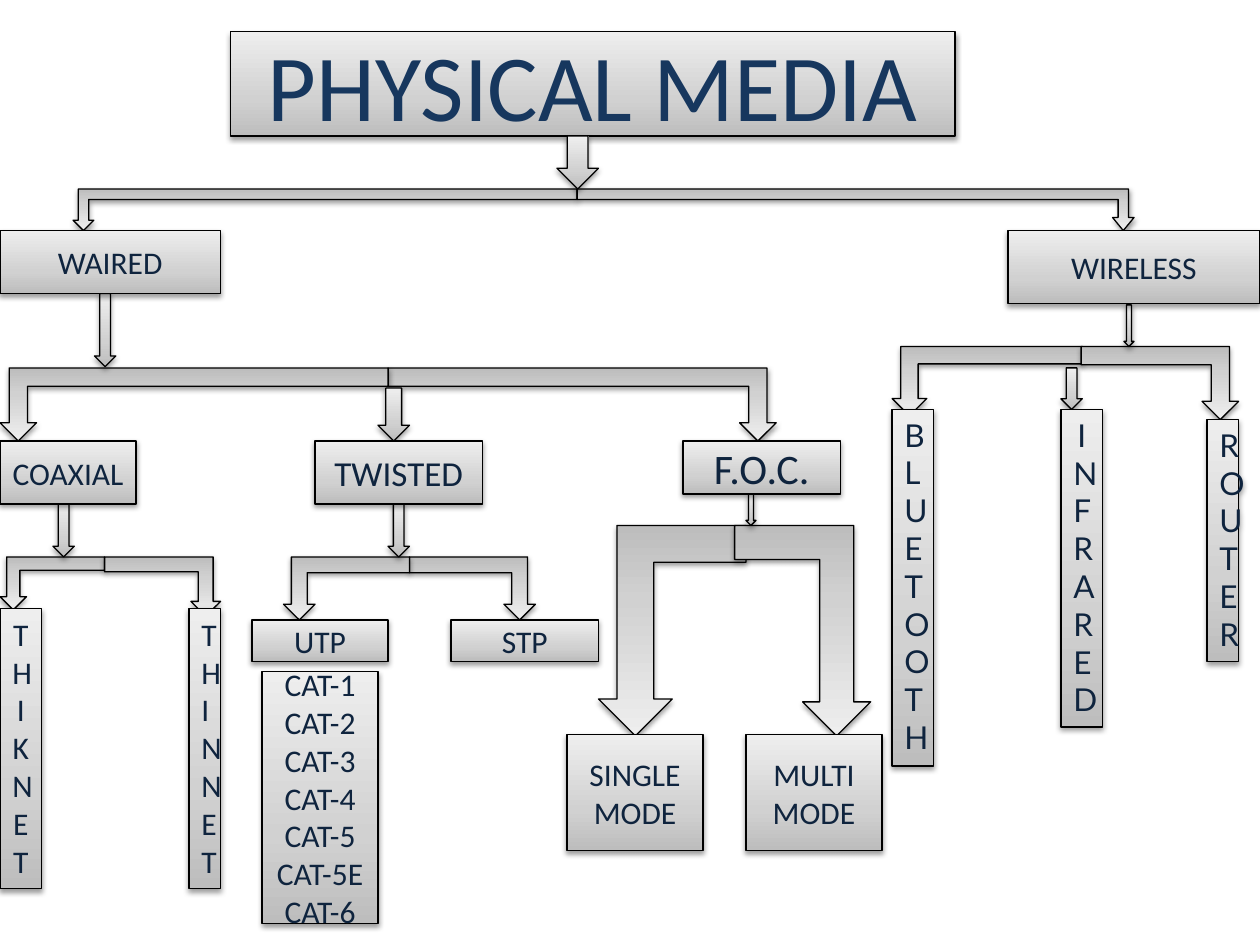
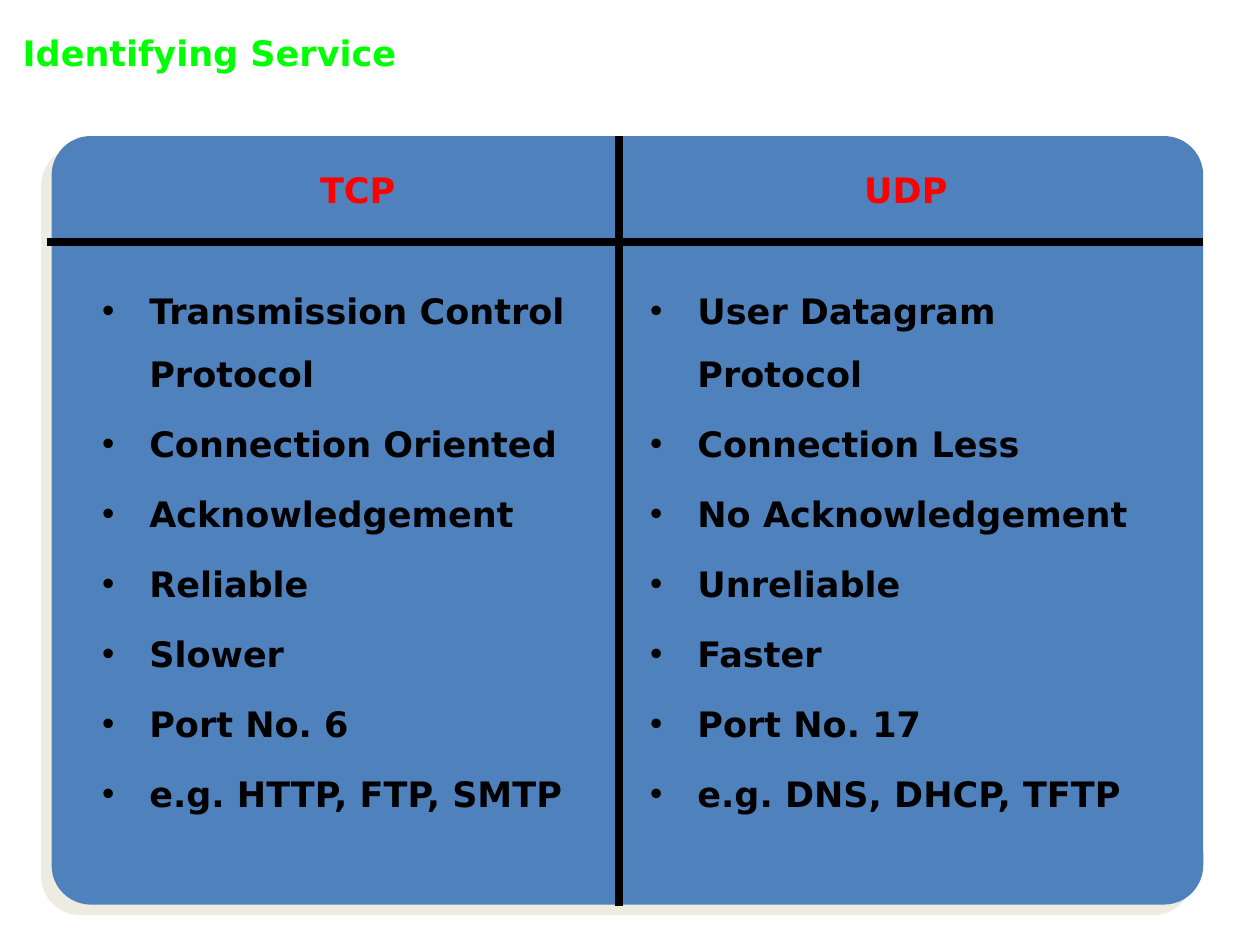
"""Build two slides: a tree of physical media and a TCP/UDP comparison."""
from dataclasses import dataclass
from typing import NamedTuple

from lxml.etree import SubElement
from pptx import Presentation
from pptx.dml.color import RGBColor
from pptx.enum.shapes import MSO_CONNECTOR, MSO_SHAPE
from pptx.enum.text import MSO_ANCHOR, MSO_AUTO_SIZE, PP_ALIGN
from pptx.oxml.ns import qn
from pptx.util import Inches, Pt

COLORS = {
    "navy": "0F243E",
    "title_blue": "17375E",
    "black": "000000",
    "green": "00FF00",
    "red": "FF0000",
    "panel": "4F81BD",
    "cream": "EEECE1",
}
METAL_STOPS = ((0, "BDBDBD"), (35, "D1D1D1"), (100, "EEEEEE"))
TREE_FONT, TALL_FONT, SERVICE_FONT = "Calibri", "Lato", "DejaVu Sans"


class Area(NamedTuple):
    left: float
    top: float
    width: float
    height: float


class TextStyle(NamedTuple):
    font: str
    size: float
    color: str
    bold: bool = False
    align: PP_ALIGN = PP_ALIGN.CENTER
    anchor: MSO_ANCHOR = MSO_ANCHOR.MIDDLE
    spacing: float = 1.0


class Shadow(NamedTuple):
    color: str
    opacity: int
    blur: float
    distance: float
    angle: int


@dataclass(frozen=True)
class Medium:
    text: str
    area: Area
    style: TextStyle
    grows: bool = False


@dataclass(frozen=True)
class Bend:
    area: Area
    to_right: bool = False
    adjustments: tuple[float, ...] = (0.25, 0.25, 0.25)


@dataclass(frozen=True)
class Service:
    name: str
    left: float
    list_width: float
    facts: tuple[str, ...]


TREE_TITLE = TextStyle(TREE_FONT, 54, "title_blue")
NODE = TextStyle(TREE_FONT, 18, "navy")
TALL_NODE = NODE._replace(anchor=MSO_ANCHOR.TOP)
TALL_LATO = TALL_NODE._replace(font=TALL_FONT)
SERVICE_TITLE = TextStyle(SERVICE_FONT, 20, "green", True, PP_ALIGN.LEFT)
SERVICE_NAME = TextStyle(SERVICE_FONT, 20, "red", True, anchor=MSO_ANCHOR.TOP, spacing=1.5)
FACT = SERVICE_NAME._replace(color="black", align=PP_ALIGN.LEFT)

METAL_SHADOW = Shadow("black", 38, 3.1, 1.6, 90)
PANEL_SHADOW = Shadow("cream", 100, 0, 8.5, 135)

MEDIA = (
    Medium("WAIRED", Area(0, 1.83, 1.75, 0.5), NODE),
    Medium("WIRELESS", Area(8, 1.83, 2, 0.58), NODE),
    Medium("COAXIAL", Area(0, 3.5, 1.08, 0.5), NODE),
    Medium("TWISTED", Area(2.5, 3.5, 1.33, 0.5), NODE._replace(size=20)),
    Medium("F.O.C.", Area(5.42, 3.5, 1.25, 0.42), NODE._replace(size=24)),
    Medium("UTP", Area(2, 4.92, 1.08, 0.33), NODE),
    Medium("STP", Area(3.58, 4.92, 1.17, 0.33), NODE),
    Medium("CAT-1\nCAT-2\nCAT-3\nCAT-4\nCAT-5\nCAT-5E\nCAT-6", Area(2.08, 5.33, 0.92, 2), NODE),
    Medium("SINGLE\nMODE", Area(4.5, 5.83, 1.08, 0.92), NODE),
    Medium("MULTI\nMODE", Area(5.92, 5.83, 1.08, 0.92), NODE),
    Medium("THIKNET", Area(0, 4.83, 0.33, 2.22), TALL_NODE, True),
    Medium("THINNET", Area(1.5, 4.83, 0.25, 2.22), TALL_NODE, True),
    Medium("BLUETOOTH", Area(7.08, 3.25, 0.33, 2.83), TALL_LATO._replace(align=PP_ALIGN.LEFT), True),
    Medium("INFRARED", Area(8.42, 3.25, 0.33, 2.52), TALL_LATO, True),
    Medium("ROUTER", Area(9.58, 3.33, 0.25, 1.92), TALL_LATO, True),
)

BENDS = (
    Bend(Area(0.58, 1.5, 4, 0.33)),
    Bend(Area(4.58, 1.5, 4.42, 0.33), True, (0.25, 0.258, 0.316)),
    Bend(Area(7.08, 2.75, 1.51, 0.55)),
    Bend(Area(8.58, 2.75, 1.25, 0.58), True),
    Bend(Area(3.08, 2.92, 3.08, 0.58), True),
    Bend(Area(0, 2.92, 3.08, 0.58)),
    Bend(Area(0, 4.42, 0.83, 0.42)),
    Bend(Area(0.83, 4.42, 0.92, 0.47), True),
    Bend(Area(3.25, 4.42, 1, 0.5), True),
    Bend(Area(2.25, 4.42, 1, 0.5)),
    Bend(Area(4.75, 4.17, 1.17, 1.67)),
    Bend(Area(5.83, 4.17, 1.08, 1.67), True),
)

DOWN_ARROWS = (
    Area(4.42, 1.08, 0.33, 0.42),
    Area(8.92, 2.42, 0.08, 0.33),
    Area(8.42, 2.92, 0.17, 0.33),
    Area(0.75, 2.33, 0.17, 0.58),
    Area(3, 3.08, 0.25, 0.42),
    Area(0.42, 4, 0.17, 0.42),
    Area(3.08, 4, 0.17, 0.42),
    Area(5.92, 3.92, 0.08, 0.25),
)

SERVICES = (
    Service("TCP", 0.71, 4.3, (
        "Transmission Control Protocol", "Connection Oriented", "Acknowledgement",
        "Reliable", "Slower", "Port No. 6", "e.g. HTTP, FTP, SMTP")),
    Service("UDP", 5.06, 4.34, (
        "User Datagram Protocol", "Connection Less", "No Acknowledgement",
        "Unreliable", "Faster", "Port No. 17", "e.g. DNS, DHCP, TFTP")),
)
RULES = ((4.91, 1.08, 4.91, 7.19), (0.37, 1.92, 9.55, 1.92))


def rgb(name: str) -> RGBColor:
    """Return a palette colour."""
    return RGBColor.from_string(COLORS[name])


def place(shape, area: Area) -> None:
    """Move and size a shape."""
    shape.left, shape.top, shape.width, shape.height = map(Inches, area)


def write(shape, text: str, style: TextStyle, grows: bool = False) -> None:
    """Fill a shape with styled paragraphs, one for each line."""
    frame = shape.text_frame
    frame.text = text
    frame.word_wrap = True
    frame.auto_size = MSO_AUTO_SIZE.SHAPE_TO_FIT_TEXT if grows else MSO_AUTO_SIZE.NONE
    frame.vertical_anchor = style.anchor
    for paragraph in frame.paragraphs:
        paragraph.alignment = style.align
        paragraph.line_spacing = style.spacing
        paragraph.font.name = style.font
        paragraph.font.size = Pt(style.size)
        paragraph.font.bold = style.bold
        paragraph.font.color.rgb = rgb(style.color)


def cast_shadow(shape, shadow: Shadow) -> None:
    """Give a shape an outer shadow."""
    shape.shadow.inherit = False
    effects = shape.element.spPr.find(qn("a:effectLst"))
    outer = SubElement(effects, qn("a:outerShdw"), blurRad=str(Pt(shadow.blur)),
                       dist=str(Pt(shadow.distance)), dir=str(shadow.angle * 60000),
                       rotWithShape="0")
    color = SubElement(outer, qn("a:srgbClr"), val=COLORS[shadow.color])
    SubElement(color, qn("a:alpha"), val=str(shadow.opacity * 1000))


def coat_metal(shape) -> None:
    """Give a shape the grey gradient, thin outline and soft shadow."""
    shape.fill.gradient()
    shape.fill.gradient_angle = 90
    stops = shape.element.spPr.find(".//" + qn("a:gsLst"))
    stops.clear()
    for position, color in METAL_STOPS:
        stop = SubElement(stops, qn("a:gs"), pos=str(position * 1000))
        SubElement(stop, qn("a:srgbClr"), val=color)
    shape.line.color.rgb = rgb("black")
    shape.line.width = Pt(0.75)
    cast_shadow(shape, METAL_SHADOW)


def add_metal(slide, kind: MSO_SHAPE, area: Area):
    """Add a metallic preset shape."""
    shape = slide.shapes.add_shape(kind, *map(Inches, area))
    coat_metal(shape)
    return shape


def add_bend(slide, bend: Bend) -> None:
    """Add a bent arrow that points down at its left or right end."""
    arrow = add_metal(slide, MSO_SHAPE.BENT_UP_ARROW, bend.area)
    arrow.rotation = 180
    for index, value in enumerate(bend.adjustments):
        arrow.adjustments[index] = value
    if bend.to_right:
        arrow.element.spPr.find(qn("a:xfrm")).set("flipH", "1")


def add_rule(slide, ends: tuple[float, ...]) -> None:
    """Add a thick black line."""
    rule = slide.shapes.add_connector(MSO_CONNECTOR.STRAIGHT, *map(Inches, ends))
    rule.line.color.rgb = rgb("black")
    rule.line.width = Pt(4.5)
    SubElement(rule.element.spPr, qn("a:effectLst"))


def add_titled_slide(deck, layout: int, text: str, area: Area, style: TextStyle):
    """Add a slide and set its title."""
    slide = deck.slides.add_slide(deck.slide_layouts[layout])
    place(slide.shapes.title, area)
    write(slide.shapes.title, text, style)
    return slide


def build_media_slide(deck) -> None:
    """Draw the tree of physical media."""
    slide = add_titled_slide(deck, 5, "PHYSICAL MEDIA", Area(1.83, 0.25, 5.75, 0.83), TREE_TITLE)
    coat_metal(slide.shapes.title)
    for bend in BENDS:
        add_bend(slide, bend)
    for area in DOWN_ARROWS:
        add_metal(slide, MSO_SHAPE.DOWN_ARROW, area)
    for medium in MEDIA:
        box = add_metal(slide, MSO_SHAPE.RECTANGLE, medium.area)
        write(box, medium.text, medium.style, medium.grows)


def build_service_slide(deck) -> None:
    """Draw the comparison of TCP and UDP."""
    slide = add_titled_slide(deck, 4, "Identifying Service", Area(0.08, 0.17, 5.04, 0.5), SERVICE_TITLE)
    panel = slide.shapes.add_shape(MSO_SHAPE.ROUNDED_RECTANGLE, *map(Inches, Area(0.41, 1.08, 9.14, 6.1)))
    panel.adjustments[0] = 0.051
    panel.fill.solid()
    panel.fill.fore_color.rgb = rgb("panel")
    panel.line.fill.background()
    cast_shadow(panel, PANEL_SHADOW)
    slide.shapes.title.element.addprevious(panel.element)

    _, *columns = slide.placeholders
    for service, heading, facts in zip(SERVICES, columns[::2], columns[1::2]):
        place(heading, Area(service.left, 1.12, 4.26, 0.7))
        write(heading, service.name, SERVICE_NAME)
        place(facts, Area(service.left, 2.08, service.list_width, 5.28))
        write(facts, "\n".join(service.facts), FACT)
    for ends in RULES:
        add_rule(slide, ends)


def main() -> None:
    """Build and save the deck."""
    deck = Presentation()
    deck.slide_width, deck.slide_height = Inches(10), Inches(7.5)
    build_media_slide(deck)
    build_service_slide(deck)
    deck.save("out.pptx")


if __name__ == "__main__":
    main()
